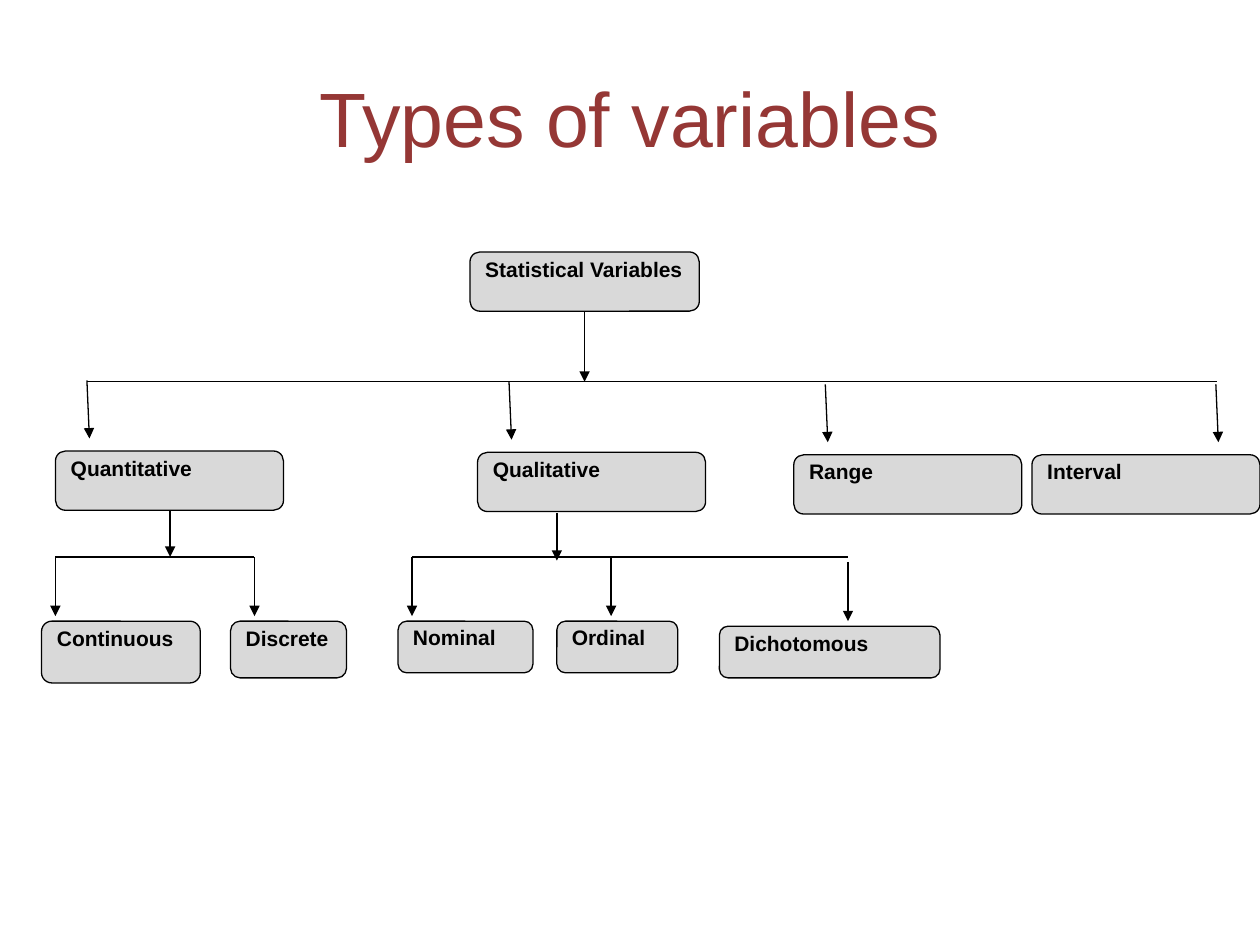
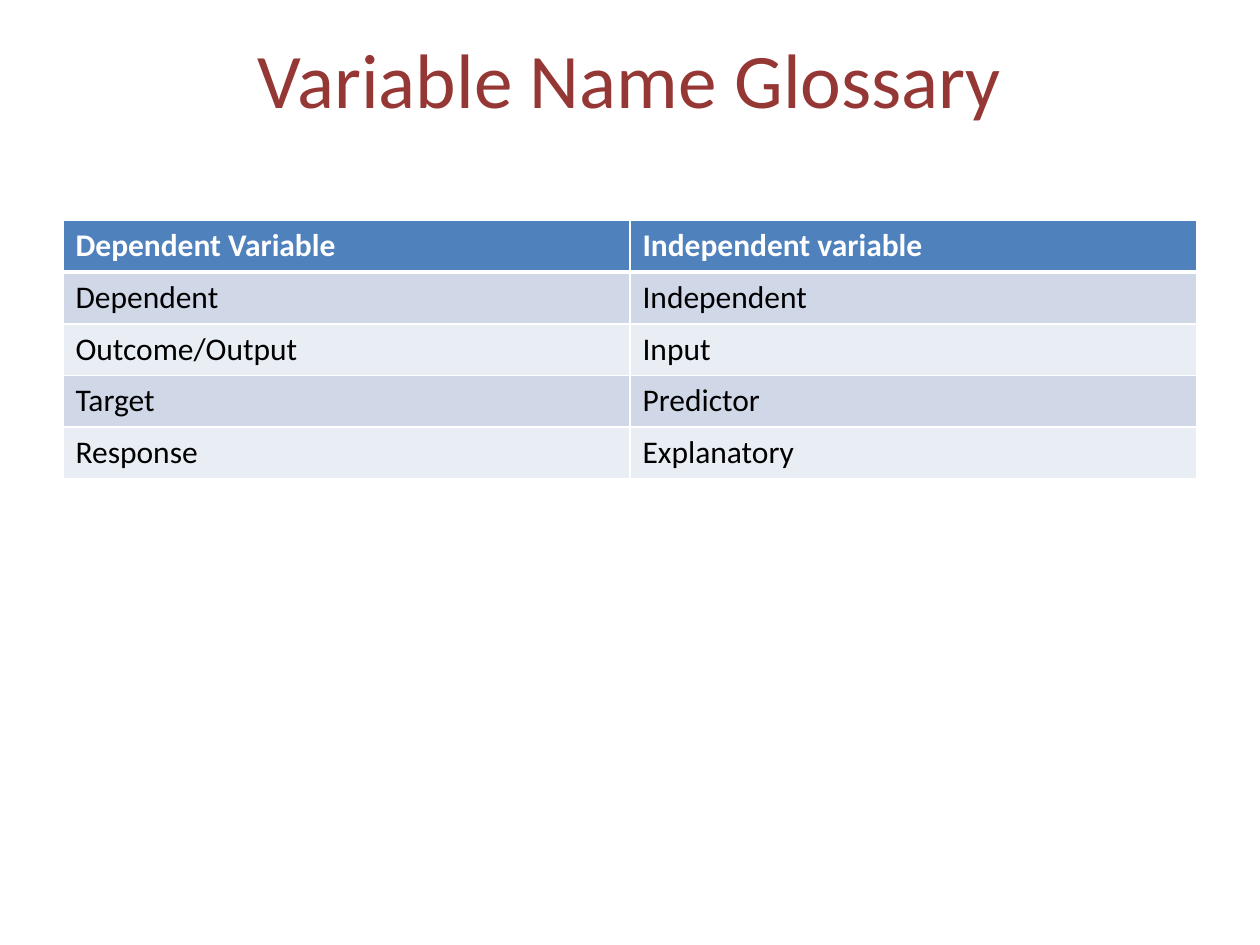
from lxml import etree
from pptx import Presentation
from pptx import util as u
from pptx.dml.color import RGBColor
from pptx.enum import shapes, text
from pptx.oxml import ns

COLORS = {
    "title": "953735", "ink": "000000", "white": "FFFFFF", "box": "D9D9D9",
    "head": "4F81BD", "band": "D0D8E8", "plain": "E9EDF4",
}
W, H = 10, 7.5
MARGIN = 0.05 * W
TITLE = (MARGIN, 0.04 * H, W - 2 * MARGIN, H / 6)
THIN = 0.75

ROOT = ("Statistical Variables", 3.73, 2, 1.82, 0.47)
ROWS = {"groups": 3.58, "leaves": 4.93}
GROUP_SIZE = (1.81, 0.47)
# label, left, drop below row, arrow offset
GROUPS = [
    ("Quantitative", 0.44, 0, 0.25),
    ("Qualitative", 3.79, 0.01, 0.25),
    ("Range", 6.3, 0.03, 0.25),
    ("Interval", 8.19, 0.03, 1.46),
]
# label, left, drop below row, width, height, arrow offset
LEAVES = [
    ("Continuous", 0.33, 0, 1.26, 0.49, 0.11),
    ("Discrete", 1.83, 0, 0.92, 0.45, 0.19),
    ("Nominal", 3.16, 0, 1.07, 0.41, 0.11),
    ("Ordinal", 4.42, 0, 0.96, 0.41, 0.43),
    ("Dichotomous", 5.71, 0.04, 1.75, 0.41, 1.02),
]
BARS = [(0.69, 9.66, 3.03), (0.44, 2.02, 4.42), (3.27, 6.73, 4.42)]
STEMS = [(4.64, 2.47, 3.03), (1.35, 4.05, 4.42), (4.42, 4.07, 4.45)]

GLOSSARY = [
    ("Dependent Variable", "Independent variable"),
    ("Dependent", "Independent"),
    ("Outcome/Output", "Input"),
    ("Target", "Predictor"),
    ("Response", "Explanatory\u00a0"),
]
TABLE_TOP, ROW_H = 1.75, 0.41


def rgb(name):
    return RGBColor.from_string(COLORS[name])


def inches(*values):
    return [u.Inches(v) for v in values]


def add_run(p, words, size, font, color, bold=False):
    r = p.add_run()
    r.text = words
    r.font.size, r.font.name, r.font.bold = u.Pt(size), font, bold
    r.font.color.rgb = rgb(color)


def add_title(s, words, size, font, anchor):
    tf = s.shapes.add_textbox(*inches(*TITLE)).text_frame
    tf.word_wrap = True
    tf.vertical_anchor = anchor
    p = tf.paragraphs[0]
    p.alignment = text.PP_ALIGN.CENTER
    add_run(p, words, size, font, "title")
    return tf


def add_box(s, label, x, y, w, h):
    sp = s.shapes.add_shape(shapes.MSO_SHAPE.ROUNDED_RECTANGLE, *inches(x, y, w, h))
    sp.shadow.inherit = False
    sp.fill.solid()
    sp.fill.fore_color.rgb = rgb("box")
    sp.line.color.rgb = rgb("ink")
    sp.line.width = u.Pt(THIN)
    tf = sp.text_frame
    tf.word_wrap = True
    tf.vertical_anchor = text.MSO_ANCHOR.TOP
    p = tf.paragraphs[0]
    p.alignment = text.PP_ALIGN.LEFT
    p.line_spacing = 0.8
    add_run(p, label, 12, "Arial", "ink", True)


def add_line(s, x1, y1, x2, y2, arrow=True):
    c = s.shapes.add_connector(shapes.MSO_CONNECTOR.STRAIGHT, *inches(x1, y1, x2, y2))
    c.line.color.rgb = rgb("ink")
    c.line.width = u.Pt(THIN)
    if arrow:
        etree.SubElement(c.line._get_or_add_ln(), ns.qn("a:tailEnd"), type="triangle")
    etree.SubElement(c._element.spPr, ns.qn("a:effectLst"))


def add_borders(cell, bottom):
    tcPr = cell._tc.get_or_add_tcPr()
    for side, width in (("L", 1), ("R", 1), ("T", 1), ("B", bottom)):
        ln = etree.SubElement(tcPr, ns.qn("a:ln" + side), w=str(u.Pt(width)))
        fill = etree.SubElement(ln, ns.qn("a:solidFill"))
        etree.SubElement(fill, ns.qn("a:srgbClr"), val=COLORS["white"])


def build_tree(s):
    add_title(s, "Types of variables", 44, "Arial", text.MSO_ANCHOR.MIDDLE)
    add_box(s, *ROOT)
    for left, right, y in BARS:
        add_line(s, left, y, right, y, arrow=False)
    for x, top, bottom in STEMS:
        add_line(s, x, top, x, bottom)
    for label, x, drop, offset in GROUPS:
        y = ROWS["groups"] + drop
        add_line(s, x + offset, y - 0.56, x + offset + 0.02, y - 0.1)
        add_box(s, label, x, y, *GROUP_SIZE)
    for label, x, drop, w, h, offset in LEAVES:
        y = ROWS["leaves"] + drop
        add_line(s, x + offset, y - 0.51, x + offset, y - 0.04)
        add_box(s, label, x, y, w, h)


def build_glossary(s):
    tf = add_title(s, "Variable Name Glossary", 44.1, "Calibri", text.MSO_ANCHOR.TOP)
    tf.margin_top = 0
    tf.paragraphs[0].line_spacing = 0.95
    rows, cols = len(GLOSSARY), len(GLOSSARY[0])
    table = s.shapes.add_table(
        rows, cols, *inches(MARGIN, TABLE_TOP, W - 2 * MARGIN, rows * ROW_H)).table
    for i, words in enumerate(GLOSSARY):
        head = i == 0
        fill = "head" if head else "band" if i % 2 else "plain"
        for j, word in enumerate(words):
            cell = table.cell(i, j)
            add_borders(cell, 3 if head else 1)
            cell.fill.solid()
            cell.fill.fore_color.rgb = rgb(fill)
            add_run(cell.text_frame.paragraphs[0], word, 18, "Calibri",
                    "white" if head else "ink", head)


prs = Presentation()
prs.slide_width, prs.slide_height = inches(W, H)
for build in (build_tree, build_glossary):
    build(prs.slides.add_slide(prs.slide_layouts[6]))
prs.save("out.pptx")
